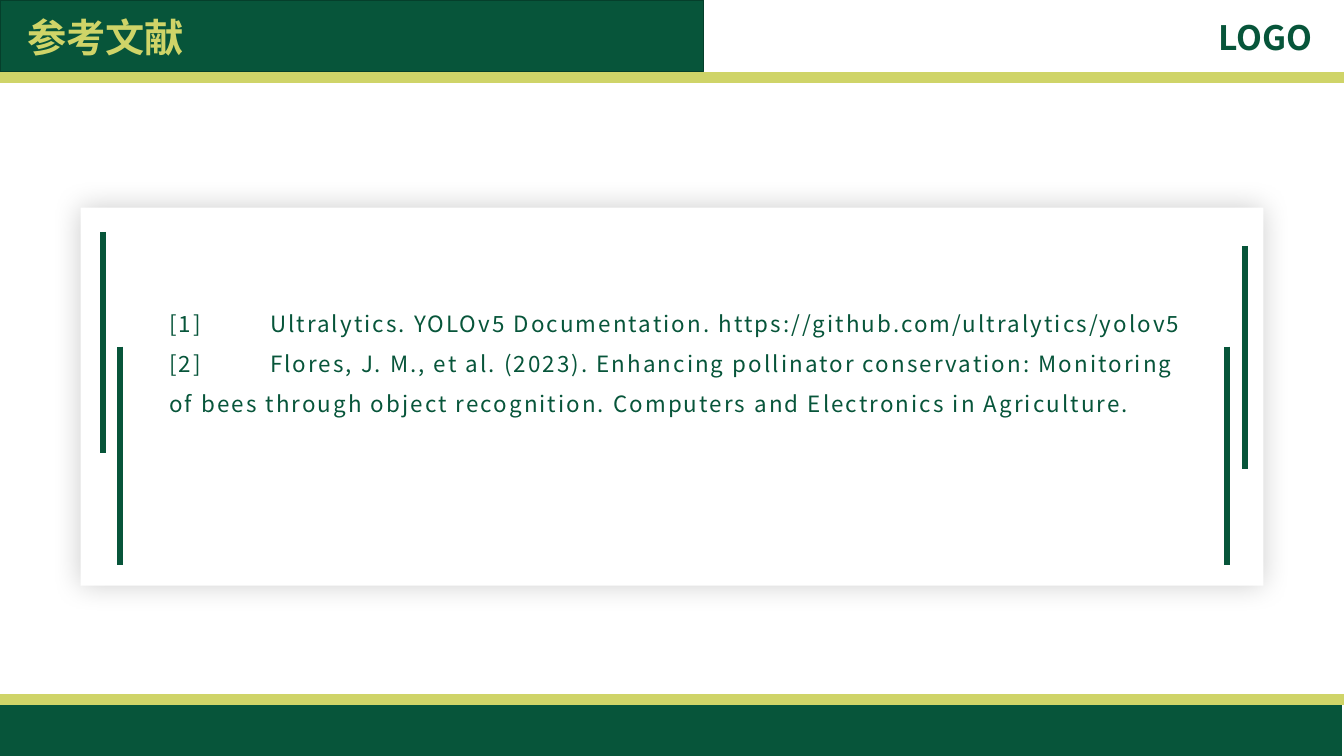
from lxml import etree
from pptx import Presentation
from pptx.dml.color import RGBColor
from pptx.enum.shapes import MSO_CONNECTOR, MSO_SHAPE
from pptx.oxml import parse_xml
from pptx.oxml.ns import nsdecls, qn
from pptx.util import Inches, Pt

RECTANGLE = MSO_SHAPE.RECTANGLE
STRAIGHT = MSO_CONNECTOR.STRAIGHT
GREEN, DARK_GREEN, LIME, WHITE = "07553A", "053F2B", "CFD468", "FFFFFF"
FONT = "Noto Sans CJK SC"
WIDTH, HEIGHT = 13.33, 7.5


def color(value):
    """Turn a hex string into a colour."""
    return RGBColor.from_string(value)


def add_text(box, paragraphs, wrap, spacing, tracking, font_format):
    """Add a text box with tab stops at one inch; tracking is in hundredths of a point."""
    frame = slide.shapes.add_textbox(*map(Inches, box)).text_frame
    frame.word_wrap = wrap
    for index, text in enumerate(paragraphs):
        paragraph = frame.paragraphs[0] if index == 0 else frame.add_paragraph()
        paragraph.line_spacing = spacing
        if "\t" in text:
            tabs = etree.SubElement(paragraph._element.get_or_add_pPr(), qn("a:tabLst"))
            etree.SubElement(tabs, qn("a:tab"), pos=str(Inches(1)), algn="l")
        run = paragraph.add_run()
        run.text = text
        for name, value in font_format.items():
            if name == "color":
                run.font.color.rgb = color(value)
            else:
                setattr(run.font, name, value)
        properties = run.font._element
        properties.set("spc", str(tracking))
        etree.SubElement(properties, qn("a:ea")).set("typeface", FONT)


presentation = Presentation()
presentation.slide_width = Inches(WIDTH)
presentation.slide_height = Inches(HEIGHT)
slide = presentation.slides.add_slide(presentation.slide_layouts[6])

# Header block, footer band and reference card
card = None
for box, fill, outline in [
    ((0, 0, 6.98, 0.71), GREEN, DARK_GREEN),
    ((-0.03, 6.99, 13.34, 0.51), GREEN, None),
    ((0.8, 2.06, 11.73, 3.75), WHITE, None),
]:
    card = slide.shapes.add_shape(RECTANGLE, *map(Inches, box))
    card.shadow.inherit = False
    card.fill.solid()
    card.fill.fore_color.rgb = color(fill)
    if outline:
        card.line.color.rgb = color(outline)
        card.line.width = Pt(1)
    else:
        card.line.fill.background()

# Soft glow around the card, the last rectangle drawn
effects = card._element.spPr.find(qn("a:effectLst"))
effects.append(parse_xml(
    f'<a:outerShdw {nsdecls("a")} blurRad="{Pt(20)}" dist="0" dir="0" algn="ctr" rotWithShape="0">'
    '<a:srgbClr val="000000"><a:alpha val="20000"/></a:srgbClr></a:outerShdw>'))

# Lime rules across the slide, then the upright bars inside the card
rules = [(0, y, WIDTH, y, LIME, 8) for y in (0.77, 6.94)]
bars = [(x, top, x, bottom, GREEN, 4.5) for x, top, bottom in [
    (1.02, 2.3, 4.49), (1.19, 3.44, 5.61), (12.17, 3.44, 5.61), (12.35, 2.44, 4.65)]]
for *ends, stroke, width in rules + bars:
    line = slide.shapes.add_connector(STRAIGHT, *map(Inches, ends))
    line.line.color.rgb = color(stroke)
    line.line.width = Pt(width)
    etree.SubElement(line._element.spPr, qn("a:effectLst"))

add_text((0.17, 0.08, 1.77, 0.57), ["参考文献"], False, 1, 0,
         {"name": FONT, "size": Pt(28), "bold": True, "color": LIME})
add_text((11.99, 0.12, 1.35, 0.5), ["LOGO"], True, 1, 0,
         {"name": FONT, "size": Pt(24), "bold": True, "color": GREEN})
add_text((1.58, 2.89, 10.32, 2.09), [
    "[1]\tUltralytics. YOLOv5 Documentation. https://github.com/ultralytics/yolov5",
    "[2]\tFlores, J. M., et al. (2023). Enhancing pollinator conservation: Monitoring "
    "of bees through object recognition. Computers and Electronics in Agriculture.",
], True, 1.5, 150, {"name": FONT, "size": Pt(16), "color": GREEN})

presentation.save("out.pptx")
